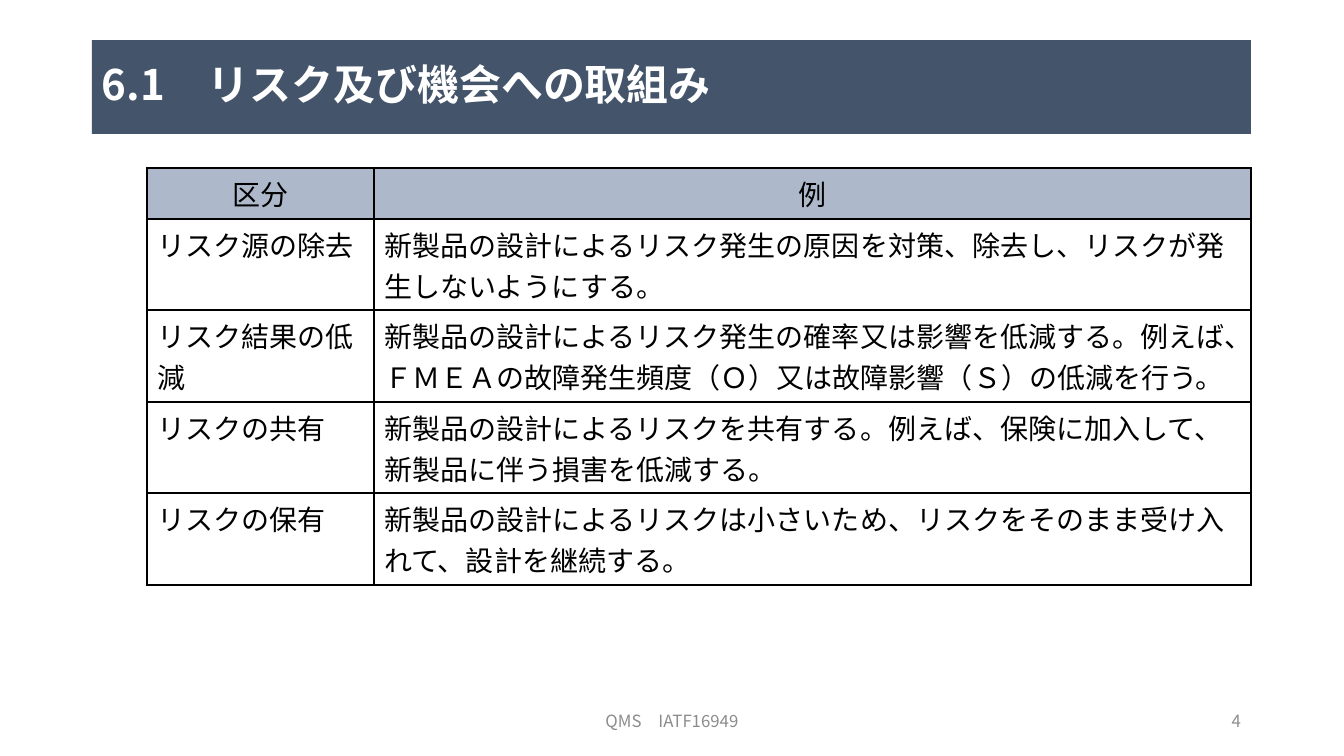
from dataclasses import dataclass

from lxml import etree
from pptx import Presentation
from pptx.dml.color import RGBColor
from pptx.enum.shapes import MSO_SHAPE
from pptx.enum.text import MSO_ANCHOR, PP_ALIGN
from pptx.oxml.ns import qn
from pptx.util import Emu, Pt

RECT = MSO_SHAPE.RECTANGLE
MIDDLE = MSO_ANCHOR.MIDDLE
LEFT, CENTER, RIGHT = PP_ALIGN.LEFT, PP_ALIGN.CENTER, PP_ALIGN.RIGHT

WHITE = RGBColor(0xFF, 0xFF, 0xFF)
BLACK = RGBColor(0x00, 0x00, 0x00)
NAVY = RGBColor(0x44, 0x54, 0x6A)
HEADER_BLUE = RGBColor(0xAD, 0xB9, 0xCA)
GRAY = RGBColor(0x8C, 0x8C, 0x8C)

FONT = "Noto Sans CJK JP"
EMU_PER_PX = 914400 / 100.8


def px(n: int) -> Emu:
    return Emu(round(n * EMU_PER_PX))


@dataclass(frozen=True)
class Style:
    size: int
    color: RGBColor
    align: PP_ALIGN = LEFT
    bold: bool = False


@dataclass(frozen=True)
class Label:
    text: str
    x: int
    y: int
    w: int
    h: int
    style: Style


@dataclass(frozen=True)
class RiskRow:
    category: str
    example: str
    height: int


TITLE = Label("6.1\u3000リスク及び機会への取組み", 92, 40, 1159, 94,
              Style(30, WHITE, bold=True))
FOOTERS = [
    Label("QMS\u3000IATF16949", 445, 701, 454, 40, Style(12, GRAY, CENTER)),
    Label("4", 949, 701, 302, 40, Style(12, GRAY, RIGHT)),
]
HEADER = RiskRow("区分", "例", 51)
RISKS = [
    RiskRow("リスク源の除去",
            "新製品の設計によるリスク発生の原因を対策、除去し、リスクが発生しないようにする。", 91),
    RiskRow("リスク結果の低減",
            "新製品の設計によるリスク発生の確率又は影響を低減する。例えば、"
            "ＦＭＥＡの故障発生頻度（Ｏ）又は故障影響（Ｓ）の低減を行う。", 92),
    RiskRow("リスクの共有",
            "新製品の設計によるリスクを共有する。例えば、保険に加入して、新製品に伴う損害を低減する。", 91),
    RiskRow("リスクの保有",
            "新製品の設計によるリスクは小さいため、リスクをそのまま受け入れて、設計を継続する。", 92),
]
TABLE_X, TABLE_Y = 147, 168
COL_WIDTHS = (227, 877)


def write(tf, text: str, style: Style) -> None:
    p = tf.paragraphs[0]
    p.alignment = style.align
    r = p.add_run()
    r.text = text
    r.font.name = FONT
    r.font.size = Pt(style.size)
    r.font.bold = style.bold
    r.font.color.rgb = style.color
    ea = etree.SubElement(r.font._element, qn("a:ea"))
    ea.set("typeface", FONT)


def add_label(s, label: Label, fill: RGBColor | None = None) -> None:
    box = px(label.x), px(label.y), px(label.w), px(label.h)
    if fill is None:
        sp = s.shapes.add_textbox(*box)
    else:
        sp = s.shapes.add_shape(RECT, *box)
        sp.shadow.inherit = False
        sp.fill.solid()
        sp.fill.fore_color.rgb = fill
        sp.line.fill.background()
    tf = sp.text_frame
    tf.word_wrap = True
    tf.vertical_anchor = MIDDLE
    write(tf, label.text, label.style)
    if fill is not None:
        tf.paragraphs[0].line_spacing = 0.9


def add_borders(cell) -> None:
    tc_pr = cell._tc.get_or_add_tcPr()
    for i, side in enumerate(("lnL", "lnR", "lnT", "lnB")):
        ln = etree.Element(qn(f"a:{side}"), w=str(Pt(1)))
        fill = etree.SubElement(ln, qn("a:solidFill"))
        etree.SubElement(fill, qn("a:srgbClr"), val=str(BLACK))
        tc_pr.insert(i, ln)


def add_risk_table(s, rows: list[RiskRow]) -> None:
    table = s.shapes.add_table(len(rows), len(COL_WIDTHS), px(TABLE_X), px(TABLE_Y),
                               px(sum(COL_WIDTHS)),
                               px(sum(row.height for row in rows))).table
    table.horz_banding = False
    table.first_row = False
    for col, width in zip(table.columns, COL_WIDTHS):
        col.width = px(width)
    for i, row in enumerate(rows):
        table.rows[i].height = px(row.height)
        style = Style(20, BLACK, LEFT if i else CENTER)
        for cell, text in zip(table.rows[i].cells, (row.category, row.example)):
            cell.fill.solid()
            cell.fill.fore_color.rgb = WHITE if i else HEADER_BLUE
            add_borders(cell)
            write(cell.text_frame, text, style)


prs = Presentation()
prs.slide_width, prs.slide_height = px(1344), px(756)
s = prs.slides.add_slide(prs.slide_layouts[6])

# Footer and page number
for footer in FOOTERS:
    add_label(s, footer)

# Title bar
add_label(s, TITLE, NAVY)

# Risk treatment table
add_risk_table(s, [HEADER, *RISKS])

prs.save("out.pptx")
